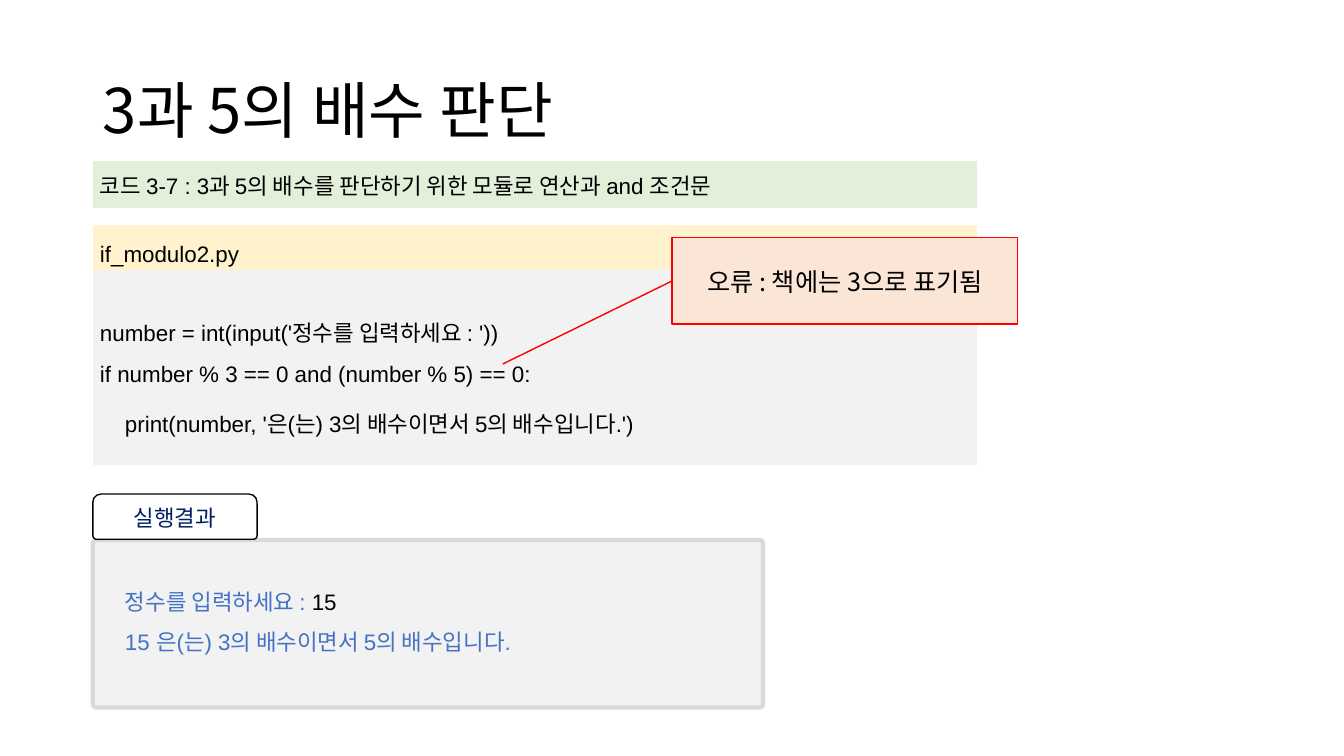
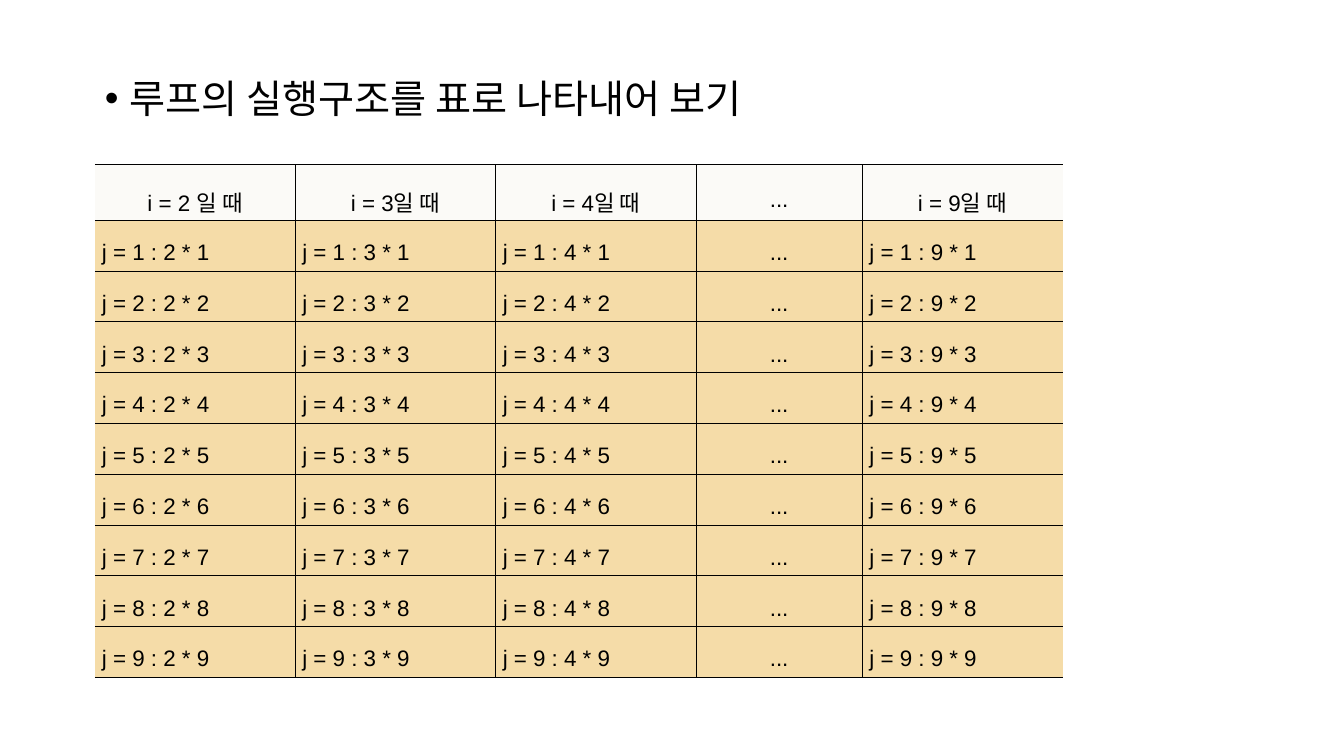
import pptx
import pptx.util
import pptx.dml.color
import pptx.enum.shapes
import pptx.enum.text
import pptx.oxml.ns
from lxml import etree

Cm, Pt = pptx.util.Cm, pptx.util.Pt
RGBColor = pptx.dml.color.RGBColor
SHAPE = pptx.enum.shapes.MSO_SHAPE
ALIGN = pptx.enum.text.PP_ALIGN
MIDDLE = pptx.enum.text.MSO_ANCHOR.MIDDLE
qn = pptx.oxml.ns.qn

# Content
TITLE = "3과 5의 배수 판단"
CAPTION = "코드 3-7 : 3과 5의 배수를 판단하기 위한 모듈로 연산과 and 조건문"
FILE_NAME = "if_modulo2.py"
CODE = [  # text, indent level
    ("number = int(input('정수를 입력하세요 : '))", 0),
    ("if number % 3 == 0 and (number % 5) == 0:", 0),
    ("print(number, '은(는) 3의 배수이면서 5의 배수입니다.')", 1),
]
RESULT_LABEL = "실행결과"
PROMPT, ANSWER = "정수를 입력하세요 : ", "15"
RESULT = "15 은(는) 3의 배수이면서 5의 배수입니다."
ERRATUM = "오류 : 책에는 3으로 표기됨"
LOOP_HEADING = "루프의 실행구조를 표로 나타내어 보기"
LOOP_HEADERS = ["i = 2 일 때", "i = 3일 때", "i = 4일 때", "...", "i = 9일 때"]
LOOP_VALUES = [2, 3, 4, None, 9]

# Shared style
SANS, KOREAN = "Arial", "Noto Sans CJK KR"
BLACK = RGBColor(0x00, 0x00, 0x00)
WHITE = RGBColor(0xFF, 0xFF, 0xFF)
NAVY = RGBColor(0x00, 0x20, 0x60)
BLUE = RGBColor(0x44, 0x72, 0xC4)
RED = RGBColor(0xFF, 0x00, 0x00)
GREEN_BAND = RGBColor(0xE2, 0xF0, 0xD9)
YELLOW_BAND = RGBColor(0xFF, 0xF2, 0xCC)
GRAY_BAND = RGBColor(0xF2, 0xF2, 0xF2)
GRAY_LINE = RGBColor(0xD9, 0xD9, 0xD9)
PEACH = RGBColor(0xFB, 0xE5, 0xD6)
CREAM = RGBColor(0xFB, 0xFA, 0xF7)
SAND = RGBColor(0xF5, 0xDC, 0xA8)
NO_STYLE = "{2D5ABB26-0587-4C30-8999-92F81FD0307C}"
LEFT, WIDTH = Cm(2.34), Cm(29.21)
BORDER = Pt(0.28)


def add_text(tf, text, size=16, font=SANS, color=BLACK, align=ALIGN.LEFT,
             spacing=1.0, before=0, indent=0, new=False):
    """Write a paragraph; text is a string or a list of (string, colour)."""
    p = tf.add_paragraph() if new else tf.paragraphs[0]
    p.alignment, p.line_spacing = align, spacing
    p.space_before = Pt(before)
    if indent:
        p._p.get_or_add_pPr().set("marL", str(indent))
    for part, part_color in [(text, color)] if isinstance(text, str) else text:
        r = p.add_run()
        r.text = part
        r.font.size, r.font.name = Pt(size), font
        r.font.color.rgb = part_color
        etree.SubElement(r._r.get_or_add_rPr(), qn("a:ea"), typeface=KOREAN)
    return p


def add_box(shapes, kind, box, fill, line, width, adjustments):
    sp = shapes.add_shape(kind, *map(Cm, box))
    sp.shadow.inherit = False
    sp.fill.solid()
    sp.fill.fore_color.rgb = fill
    sp.line.color.rgb, sp.line.width = line, Pt(width)
    for i, value in enumerate(adjustments):
        sp.adjustments[i] = value
    sp.text_frame.word_wrap = True
    sp.text_frame.vertical_anchor = MIDDLE
    return sp


def add_plain_table(s, left, top, widths, heights):
    table = s.shapes.add_table(len(heights), len(widths), left, Cm(top),
                               Cm(sum(widths)), Cm(sum(heights))).table
    table.first_row = table.horz_banding = False
    table._tbl.tblPr.find(qn("a:tableStyleId")).text = NO_STYLE
    for column, width in zip(table.columns, widths):
        column.width = Cm(width)
    for row, height in zip(table.rows, heights):
        row.height = Cm(height)
    for cell in table.iter_cells():
        cell.margin_left = cell.margin_right = Cm(0.18)
        cell.margin_top = cell.margin_bottom = Cm(0.05)
        cell.vertical_anchor = MIDDLE
    return table


def fill_cell(cell, color):
    cell.fill.solid()
    cell.fill.fore_color.rgb = color


def set_borders(cell, sides):
    tcPr = cell._tc.get_or_add_tcPr()
    for i, side in enumerate(sides):
        ln = etree.Element(qn(f"a:ln{side}"), w=str(BORDER))
        fill = etree.SubElement(ln, qn("a:solidFill"))
        etree.SubElement(fill, qn("a:srgbClr"), val=str(BLACK))
        tcPr.insert(i, ln)


def place(placeholder, left, top, height):
    placeholder.left, placeholder.top = left, Cm(top)
    placeholder.width, placeholder.height = WIDTH, Cm(height)
    return placeholder.text_frame


def build_code_slide(prs):
    s = prs.slides.add_slide(prs.slide_layouts[5])
    tf = place(s.shapes.title, LEFT, 1.02, 3.68)
    tf.vertical_anchor = MIDDLE
    add_text(tf, TITLE, size=44, font=KOREAN, spacing=0.9)

    # Code listing: caption, narrow gap, file name, code
    table = add_plain_table(s, LEFT, 4.06, [22.28], [1.19, 0.43, 1.12, 4.91])
    caption, gap, file_name, code = table.iter_cells()
    for cell, color in ((caption, GREEN_BAND), (file_name, YELLOW_BAND),
                        (code, GRAY_BAND)):
        fill_cell(cell, color)
    gap_p = gap.text_frame.paragraphs[0]._p
    etree.SubElement(gap_p, qn("a:endParaRPr"), sz="100")
    add_text(caption.text_frame, CAPTION)
    add_text(file_name.text_frame, FILE_NAME, align=ALIGN.JUSTIFY, spacing=1.6)
    for i, (line, level) in enumerate(CODE):
        add_text(code.text_frame, line, align=ALIGN.JUSTIFY, spacing=1.6,
                 indent=level * Cm(0.63), new=i > 0)

    # Program output with its tab
    shapes = s.shapes.add_group_shape().shapes
    add_box(shapes, SHAPE.ROUNDED_RECTANGLE, (2.34, 13.61, 16.89, 4.22),
            GRAY_BAND, GRAY_LINE, 3, [0.02])
    tab = add_box(shapes, SHAPE.ROUND_2_SAME_RECTANGLE,
                  (2.34, 12.45, 4.14, 1.14), WHITE, BLACK, 1, [0.18, 0.08])
    add_text(tab.text_frame, RESULT_LABEL, font=KOREAN, color=NAVY,
             align=ALIGN.CENTER)
    tf = shapes.add_textbox(Cm(2.9), Cm(14.35), Cm(15.39), Cm(2.21)).text_frame
    tf.word_wrap = True
    add_text(tf, [(PROMPT, BLUE), (ANSWER, BLACK)], spacing=1.5)
    add_text(tf, RESULT, color=BLUE, spacing=1.5, new=True)

    # Erratum callout
    note = add_box(s.shapes, SHAPE.LINE_CALLOUT_1, (16.94, 5.99, 8.71, 2.18),
                   PEACH, RED, 1, [0.5, 0, 1.46, -0.49])
    add_text(note.text_frame, ERRATUM, size=18, font=KOREAN,
             align=ALIGN.CENTER)


def build_loop_slide(prs):
    s = prs.slides.add_slide(prs.slide_layouts[1])
    title = s.shapes.title._element
    title.getparent().remove(title)
    left = Cm(2.39)
    tf = place(s.placeholders[1], left, 1.88, 15.44)
    p = add_text(tf, LOOP_HEADING, size=28, font=KOREAN, spacing=0.9,
                 before=10, indent=Cm(0.63))
    pPr = p._p.get_or_add_pPr()
    pPr.set("indent", str(-Cm(0.63)))
    etree.SubElement(pPr, qn("a:buFont"), typeface=SANS)
    etree.SubElement(pPr, qn("a:buChar"), char="•")

    # One column per i, one row per j
    rows = [LOOP_HEADERS] + [
        [f"j = {j} : {i} * {j}" if i else "..." for i in LOOP_VALUES]
        for j in range(1, 10)]
    widths = [5.05, 5.05, 5.05, 4.19, 5.05]
    table = add_plain_table(s, left, 4.14, widths, [1.28] * len(rows))
    last = len(widths) - 1
    for y, row in enumerate(rows):
        for x, text in enumerate(row):
            cell = table.cell(y, x)
            centred = y == 0 or text == "..."
            fill_cell(cell, SAND if y else CREAM)
            set_borders(cell, "L" * (x > 0) + "R" * (x < last) + "TB")
            add_text(cell.text_frame, text, spacing=1.6,
                     align=ALIGN.CENTER if centred else ALIGN.JUSTIFY)


def main():
    prs = pptx.Presentation()
    prs.slide_width, prs.slide_height = Cm(33.87), Cm(19.05)
    build_code_slide(prs)
    build_loop_slide(prs)
    prs.save("out.pptx")


if __name__ == "__main__":
    main()
